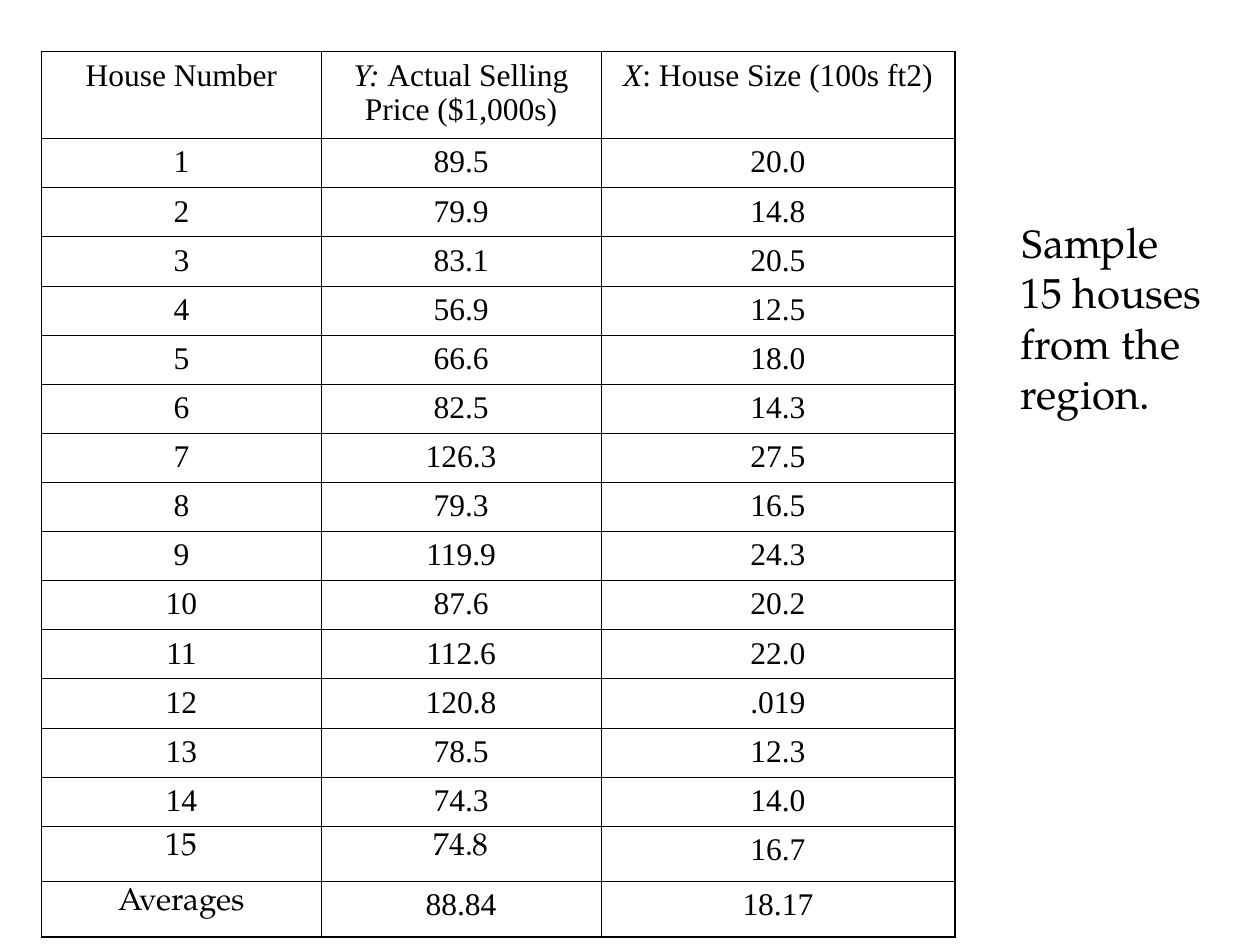
import pptx
import pptx.util
import pptx.dml.color
import pptx.enum.text
import pptx.oxml.ns
from lxml import etree

Pt, Inch = pptx.util.Pt, pptx.util.Inches
SERIF, BOOK = "Times New Roman", "TeX Gyre Pagella"
INK = "000000"
THIN, THICK = 0.45, 1.08


def hue(code):
    return pptx.dml.color.RGBColor.from_string(code)


def write(para, text, **form):
    run = para.add_run()
    run.text = text
    run.font.color.rgb = hue(INK)
    for key, val in form.items():
        setattr(run.font, key, val)


deck = pptx.Presentation()
deck.slide_width, deck.slide_height = Inch(10), Inch(7.5)
slide = deck.slides.add_slide(deck.slide_layouts[6])

# House data: price and size by house number
price = "89.5 79.9 83.1 56.9 66.6 82.5 126.3 79.3 119.9 87.6 112.6 120.8 78.5 74.3 74.8".split()
size = "20.0 14.8 20.5 12.5 18.0 14.3 27.5 16.5 24.3 20.2 22.0 .019 12.3 14.0 16.7".split()
# Each head is an italic part and a plain part
heads = [("", "House Number"), ("Y: ", "Actual Selling Price ($1,000s)"),
         ("X", ": House Size (100s ft2)")]
rows = [heads]
for num, pair in enumerate(zip(price, size), 1):
    rows.append([("", str(num)), ("", pair[0]), ("", pair[1])])
rows.append([("", "Averages"), ("", "88.84"), ("", "18.17")])
last = len(rows) - 1
book = {(last - 1, 0), (last - 1, 1), (last, 0)}

# Table grid
wide = [2.22, 2.22, 2.81]
high = [0.69] + [0.39] * 14 + [0.44] * 2
frame = slide.shapes.add_table(len(rows), len(wide), Inch(0.33), Inch(0.41),
                               Inch(sum(wide)), Inch(sum(high)))
table = frame.table
for flag in ("first_row", "horz_banding"):
    setattr(table, flag, False)
for col, width in zip(table.columns, wide):
    col.width = Inch(width)
for row, height in zip(table.rows, high):
    row.height = Inch(height)

# Cell text, fill and borders
for r, line in enumerate(rows):
    for c, (slant, plain) in enumerate(line):
        cell = table.cell(r, c)
        para = cell.text_frame.paragraphs[0]
        para.alignment = pptx.enum.text.PP_ALIGN.CENTER
        para.space_before = Pt(0 if slant else 4.5)
        form = {"size": Pt(18), "name": BOOK if (r, c) in book else SERIF}
        if slant:
            write(para, slant, italic=True, **form)
        write(para, plain, italic=False, **form)

        props = cell._tc.get_or_add_tcPr()
        edges = {"a:lnL": c == 0, "a:lnR": c == 2, "a:lnT": r == 0, "a:lnB": r == last}
        for tag, outer in edges.items():
            edge = etree.SubElement(props, pptx.oxml.ns.qn(tag),
                                    w=str(Pt(THICK if outer else THIN)))
            fill = etree.SubElement(edge, pptx.oxml.ns.qn("a:solidFill"))
            etree.SubElement(fill, pptx.oxml.ns.qn("a:srgbClr"), val=INK)
        cell.fill.background()

# Side note
note = slide.shapes.add_textbox(Inch(8), Inch(1.67), Inch(1.67), Inch(2.1)).text_frame
note.word_wrap = True
note.auto_size = pptx.enum.text.MSO_AUTO_SIZE.SHAPE_TO_FIT_TEXT
para = note.paragraphs[0]
para.space_before = Pt(15)
for text, face in (("S", SERIF), ("ample 15 houses from the region.", BOOK)):
    write(para, text, size=Pt(24), name=face)

deck.save("out.pptx")
